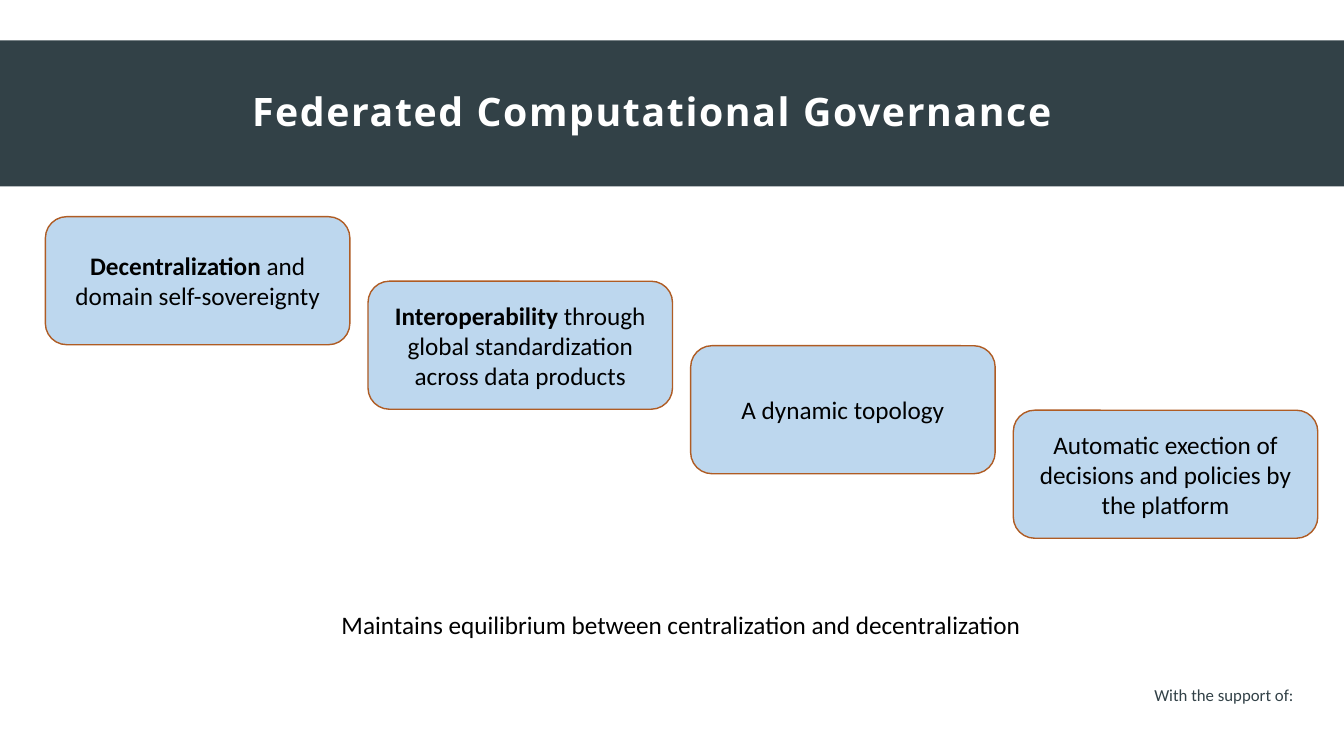
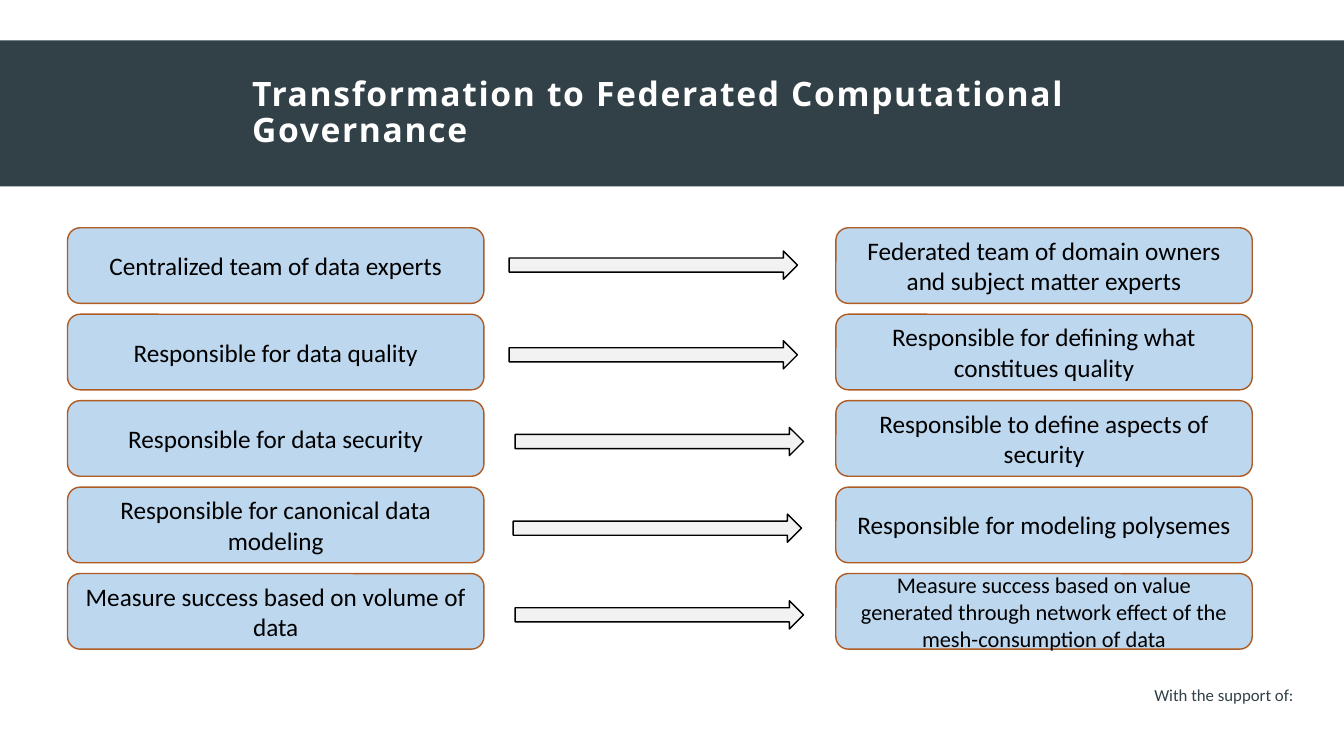
"""Build two slides on federated computational governance."""
from pptx import Presentation
from pptx.dml.color import RGBColor
from pptx.enum.shapes import MSO_SHAPE
from pptx.enum.text import MSO_ANCHOR, MSO_AUTO_SIZE, PP_ALIGN
from pptx.util import Inches, Pt

RECT, ROUNDED, ARROW = MSO_SHAPE.RECTANGLE, MSO_SHAPE.ROUNDED_RECTANGLE, MSO_SHAPE.RIGHT_ARROW
LEFT, CENTER = PP_ALIGN.LEFT, PP_ALIGN.CENTER
MIDDLE, NO_FIT = MSO_ANCHOR.MIDDLE, MSO_AUTO_SIZE.NONE
SLATE, WHITE, BLACK = "324147", "FFFFFF", "000000"
BLUE, RUST, GREY = "BDD7EE", "AF5C24", "F2F2F2"


def add_box(s, kind, x, y, w, h, fill, line=None):
    sp = s.shapes.add_shape(kind, Inches(x), Inches(y), Inches(w), Inches(h))
    sp.shadow.inherit = False
    sp.fill.solid()
    sp.fill.fore_color.rgb = RGBColor.from_string(fill)
    if line:
        sp.line.color.rgb = RGBColor.from_string(line)
        sp.line.width = Pt(1)
    else:
        sp.line.fill.background()
    return sp


def write(sp, runs, size, color=BLACK, font="Calibri", align=CENTER):
    tf = sp.text_frame
    p = tf.paragraphs[0]
    p.alignment = align
    p.font.name, p.font.size = font, Pt(size)
    p.font.color.rgb = RGBColor.from_string(color)
    for text, bold in runs:
        r = p.add_run()
        r.text = text
        r.font.bold = bold
    return p


prs = Presentation()
prs.slide_width, prs.slide_height = Inches(13.33), Inches(7.5)
layout = prs.slide_layouts[5]
title = layout.placeholders[0]
title.left, title.top, title.width, title.height = (Inches(v) for v in (2.4, 0.4, 10.02, 1.45))

slides = []
for heading, size in [
    ("Federated Computational Governance", 28),
    ("Transformation to Federated Computational Governance", 24),
]:
    s = prs.slides.add_slide(layout)
    tf = s.shapes.title.text_frame
    tf.vertical_anchor, tf.auto_size = MIDDLE, NO_FIT
    p = write(s.shapes.title, [(heading, True)], size, WHITE, "Open Sans", LEFT)
    p.line_spacing = 0.9
    p.runs[0].font._element.set("spc", "120")
    slides.append(s)
principles, changes = slides

band = add_box(principles, RECT, 0, 0.4, 13.33, 1.45, SLATE)
support = principles.shapes.add_textbox(Inches(11.34), Inches(6.74), Inches(1.6), Inches(0.3))
support.text_frame.word_wrap = False
write(support, [("With the support of:", False)], 12, SLATE)
for sp in (band, support):
    layout.shapes._spTree.append(sp._element)

steps = [
    [("Decentralization", True), (" and domain self-sovereignty", False)],
    [("Interoperability ", True), ("through global standardization across data products", False)],
    [("A dynamic topology", False)],
    [("Automatic exection of decisions and policies by the platform", False)],
]
for i, runs in enumerate(steps):
    sp = add_box(principles, ROUNDED, 0.45 + 3.2 * i, 2.15 + 0.64 * i, 3.02, 1.27, BLUE, RUST)
    sp.text_frame.vertical_anchor = MIDDLE
    write(sp, runs, 18)
summary = principles.shapes.add_textbox(Inches(0.45), Inches(6), Inches(12.61), Inches(0.4))
summary.text_frame.word_wrap = True
write(summary, [("Maintains equilibrium between centralization and decentralization", False)], 18)

rows = [
    ("Centralized team of data experts",
     "Federated team of domain owners and subject matter experts", 18, 5.05, 2.49),
    ("Responsible for data quality",
     "Responsible for defining what constitues quality", 18, 5.05, 3.38),
    ("Responsible for data security",
     "Responsible to define aspects of security", 18, 5.11, 4.24),
    ("Responsible for canonical data modeling",
     "Responsible for modeling polysemes", 18, 5.09, 5.1),
    ("Measure success based on volume of data",
     "Measure success based on value generated through network effect of the "
     "mesh-consumption of data", 16, 5.11, 5.96),
]
for i, (before, after, after_size, arrow_x, arrow_y) in enumerate(rows):
    for x, text, size in [(0.67, before, 18), (8.29, after, after_size)]:
        sp = add_box(changes, ROUNDED, x, 2.26 + 3.43 * i / 4, 4.13, 0.75, BLUE, RUST)
        sp.text_frame.vertical_anchor = MIDDLE
        write(sp, [(text, False)], size)
    add_box(changes, ARROW, arrow_x, arrow_y, 2.86, 0.28, GREY, BLACK)

prs.save("out.pptx")
